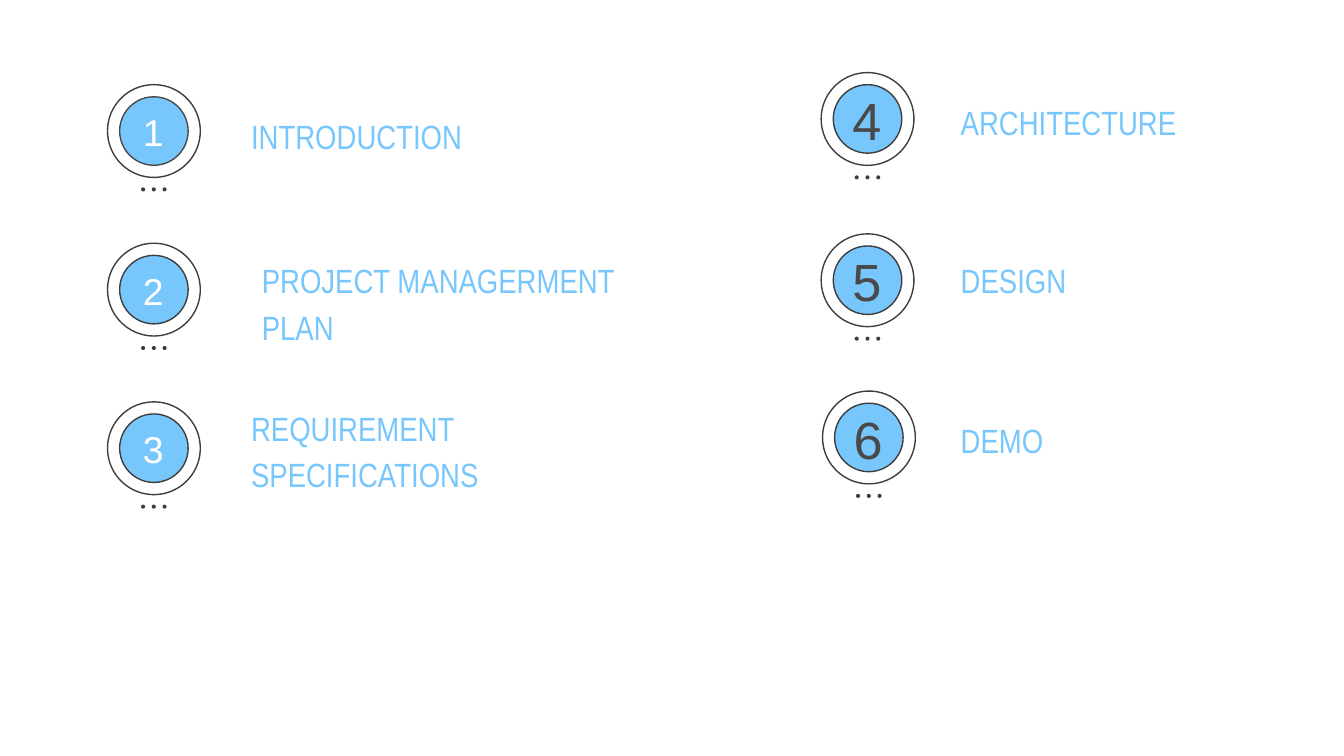
"""Build an agenda slide with six numbered badges in two columns."""
from pptx import Presentation
from pptx.dml.color import RGBColor
from pptx.enum.shapes import MSO_SHAPE
from pptx.enum.text import MSO_ANCHOR, PP_ALIGN
from pptx.util import Inches, Pt

BLUE, WHITE, DARK, GRAY = "77C6FC", "FFFFFF", "3D3D3D", "494949"
RING, DISC, DOT, DOT_STEP = 0.69, 0.51, 0.03, 0.08

COLUMNS = [
    {"size": 20, "color": WHITE, "items": [
        ("1", "INTRODUCTION", (0.8, 0.63), (1.77, 0.72)),
        ("2", "PROJECT MANAGERMENT PLAN", (0.8, 1.81), (1.85, 1.79)),
        ("3", "REQUIREMENT SPECIFICATIONS", (0.8, 2.99), (1.77, 2.89)),
    ]},
    {"size": 28, "color": GRAY, "items": [
        ("4", "ARCHITECTURE", (6.11, 0.54), (7.05, 0.61)),
        ("5", "DESIGN", (6.11, 1.74), (7.05, 1.79)),
        ("6", "DEMO", (6.12, 2.91), (7.05, 2.98)),
    ]},
]


def rgb(color):
    return RGBColor.from_string(color)


def add_circle(group, center_x, center_y, size, fill, line=None):
    circle = group.shapes.add_shape(
        MSO_SHAPE.OVAL, Inches(center_x - size / 2), Inches(center_y - size / 2),
        Inches(size), Inches(size))
    circle.shadow.inherit = False
    circle.fill.solid()
    circle.fill.fore_color.rgb = rgb(fill)
    if line:
        circle.line.color.rgb = rgb(line)
        circle.line.width = Pt(0.75)
    else:
        circle.line.fill.background()


def add_badge(page, left, top, disc_line):
    group = page.shapes.add_group_shape()
    center_x, center_y = left + RING / 2, top + RING / 2
    add_circle(group, center_x, center_y, RING, WHITE, DARK)
    add_circle(group, center_x, center_y, DISC, BLUE, disc_line)
    for step in (-1, 0, 1):
        add_circle(group, center_x + step * DOT_STEP, top + 0.78, DOT, DARK)


def add_text(page, text, left, top, width, height, font, size, color):
    box = page.shapes.add_textbox(Inches(left), Inches(top), Inches(width), Inches(height))
    frame = box.text_frame
    frame.word_wrap = True
    frame.margin_left = frame.margin_right = Inches(0.1)
    frame.margin_top = frame.margin_bottom = Inches(0.1)
    para = frame.paragraphs[0]
    span = para.add_run()
    span.text = text
    span.font.name = font
    span.font.size = Pt(size)
    span.font.color.rgb = rgb(color)
    return frame


def main():
    deck = Presentation()
    deck.slide_width = Inches(10)
    deck.slide_height = Inches(10 * 9 / 16)
    page = deck.slides.add_slide(deck.slide_layouts[6])
    for column in COLUMNS:
        for number, label, (left, top), (label_left, label_top) in column["items"]:
            add_badge(page, left, top, GRAY if number == "1" else DARK)
            digit = add_text(page, number, left + 0.09, top + 0.16, 0.5, 0.38,
                             "Arial", column["size"], column["color"])
            digit.vertical_anchor = MSO_ANCHOR.MIDDLE
            digit.paragraphs[0].alignment = PP_ALIGN.CENTER
            title = add_text(page, label, label_left, label_top, 2.86, 0.42,
                             "Arial Narrow", 18, BLUE)
            title.paragraphs[0].line_spacing = 1.15
    deck.save("out.pptx")


if __name__ == "__main__":
    main()
